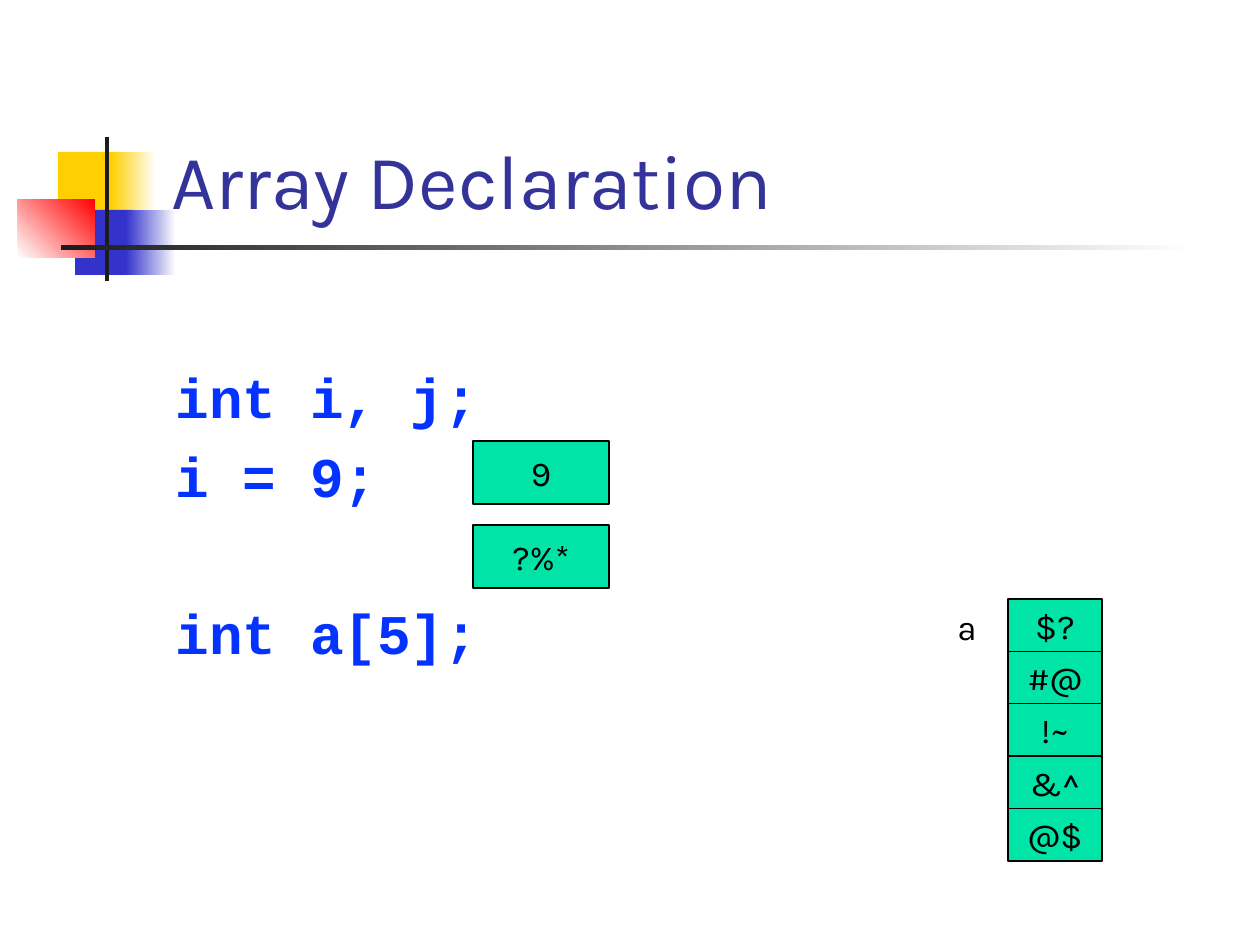
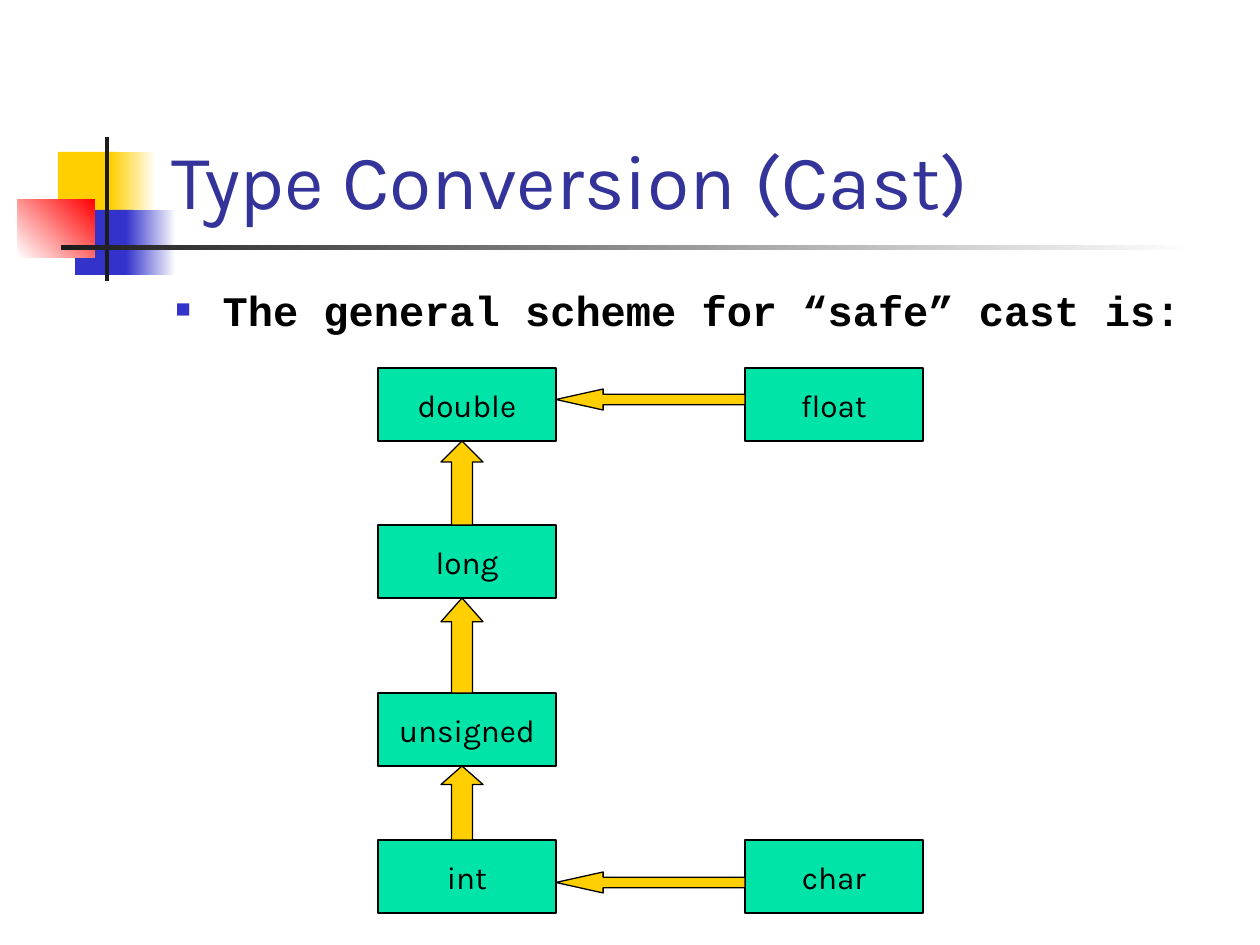
from lxml.etree import SubElement
from pptx import Presentation
from pptx.dml.color import RGBColor
from pptx.enum.shapes import MSO_SHAPE as SHAPE
from pptx.enum.text import MSO_ANCHOR as ANCHOR, MSO_AUTO_SIZE as AUTO, PP_ALIGN as ALIGN
from pptx.oxml.ns import qn
from pptx.util import Emu, Pt

EMU_PER_PX = 914400 / 126
COLORS = {
    "yellow": "FFCF01", "blue": "3333CC", "red": "FF0000", "dark": "1C1C1C",
    "white": "FFFFFF", "black": "000000", "title": "333399",
    "code": "0432FF", "cell": "00E4A8",
}
SANS, MONO = "Karla", "Courier New"
TITLE_BOX = (159, 29, 1074, 202)
BODY_BOX = (163, 278, 1071, 567)
HANGING = 47


def px(n):
    return Emu(round(n * EMU_PER_PX))


def rgb(name):
    return RGBColor.from_string(COLORS[name])


def place(shape, box):
    shape.left, shape.top, shape.width, shape.height = map(px, box)


def add_run(p, text, size, color="black", font=SANS, bold=False):
    r = p.add_run()
    r.text = text
    r.font.size, r.font.name, r.font.bold = Pt(size), font, bold
    r.font.color.rgb = rgb(color)


def add_filled(s, kind, box, fill, outlined=True):
    sp = s.shapes.add_shape(kind, *map(px, box))
    sp.shadow.inherit = False
    sp.fill.solid()
    sp.fill.fore_color.rgb = rgb(fill)
    if outlined:
        sp.line.color.rgb = rgb("black")
        sp.line.width = Pt(0.75)
    else:
        sp.line.fill.background()
    return sp


def add_fade(s, box, start, end, angle=0):
    sp = add_filled(s, SHAPE.RECTANGLE, box, start, outlined=False)
    sp.fill.gradient()
    sp.fill.gradient_angle = angle
    for stop, color, position in zip(sp.fill.gradient_stops, (start, end), (0, 1)):
        stop.color.rgb = rgb(color)
        stop.position = position
    return sp


def add_cell(s, box, text, size):
    sp = add_filled(s, SHAPE.RECTANGLE, box, "cell")
    tf = sp.text_frame
    tf.word_wrap = False
    tf.vertical_anchor = ANCHOR.MIDDLE
    p = tf.paragraphs[0]
    p.alignment = ALIGN.CENTER
    add_run(p, text, size)


def add_arrow(s, kind, box):
    """Draw a block arrow whose head takes a quarter of its length."""
    sp = add_filled(s, kind, box, "yellow")
    length, thickness = max(box[2:]), min(box[2:])
    sp.adjustments[0] = 0.5
    sp.adjustments[1] = length / 4 / thickness


def set_up_layout(prs, layout):
    """Put the coloured squares and rules on the layout and place its text boxes."""
    s = prs.slides[0]
    band = [
        add_filled(s, SHAPE.RECTANGLE, (58, 152, 60, 66), "yellow", False),
        add_fade(s, (111, 152, 45, 66), "yellow", "white"),
        add_filled(s, SHAPE.RECTANGLE, (75, 210, 58, 65), "blue", False),
        add_fade(s, (126, 210, 50, 65), "blue", "white"),
        add_fade(s, (18, 199, 77, 59), "white", "red", 45),
        add_filled(s, SHAPE.RECTANGLE, (105, 137, 4, 144), "dark", False),
        add_fade(s, (61, 245, 1134, 5), "dark", "white"),
    ]
    for sp in band:
        layout.shapes.element.append(sp.element)
    place(layout.placeholders[0], TITLE_BOX)
    place(layout.placeholders[1], BODY_BOX)


def fill_title(s, text):
    tf = s.shapes.title.text_frame
    tf.vertical_anchor = ANCHOR.BOTTOM
    tf.auto_size = AUTO.NONE
    p = tf.paragraphs[0]
    p.alignment = ALIGN.LEFT
    add_run(p, text, 44, "title")


def fill_body(s, lines, size, color, bullet=False, inset=6):
    """Write (text, space before) lines in bold code type, below a top inset."""
    tf = s.placeholders[1].text_frame
    tf.auto_size = AUTO.NONE
    tf.vertical_anchor = ANCHOR.TOP
    tf.margin_top = px(inset)
    for i, (text, before) in enumerate(lines):
        p = tf.add_paragraph() if i else tf.paragraphs[0]
        p.space_before = Pt(before)
        add_run(p, text, size, color, MONO, bold=True)
        pPr = p._p.get_or_add_pPr()
        pPr.set("marL", str(px(HANGING)))
        pPr.set("indent", str(-px(HANGING)))
        if bullet:
            clr = SubElement(pPr, qn("a:buClr"))
            SubElement(clr, qn("a:srgbClr"), val=COLORS["blue"])
            SubElement(pPr, qn("a:buSzPct"), val="60000")
            SubElement(pPr, qn("a:buChar"), char="■")
        else:
            SubElement(pPr, qn("a:buNone"))


def add_variables(s, left, top, values):
    for i, value in enumerate(values):
        add_cell(s, (left, top + 84 * i, 136, 63), value, 20)


def add_array(s, box, name, values):
    left, top, width, height = box
    row = height / len(values)
    for i, value in enumerate(values):
        add_cell(s, (left, top + row * i, width, row), value, 20)
    label = s.shapes.add_textbox(*map(px, (left - 63, top, 84, 54)))
    label.text_frame.word_wrap = True
    add_run(label.text_frame.paragraphs[0], name, 20)


def add_cast_scheme(s, left, top):
    """Stack the types upwards, with the side types pointing into the stack."""
    width, height, side = 178, 73, 367
    stack = [("double", 0), ("long", 157), ("unsigned", 325), ("int", 472)]
    for name, y in stack:
        add_cell(s, (left, top + y, width, height), name, 18)
    for (_, upper), (_, lower) in zip(stack, stack[1:]):
        start = upper + height
        add_arrow(s, SHAPE.UP_ARROW, (left + 63, top + start, 42, lower - start))
    for name, y, arrow_y in [("float", 0, 21), ("char", 472, 504)]:
        add_cell(s, (left + side, top + y, width, height), name, 18)
        add_arrow(s, SHAPE.LEFT_ARROW, (left + width, top + arrow_y, side - width, 21))


def main():
    prs = Presentation()
    prs.slide_width, prs.slide_height = px(1260), px(945)
    layout = prs.slide_layouts[1]

    s = prs.slides.add_slide(layout)
    set_up_layout(prs, layout)
    fill_title(s, "Array Declaration")
    code = [("int i, j;", 0), ("i = 9;", 6.4), ("int a[5];", 51.4)]
    fill_body(s, code, 32, "code", inset=85)
    add_variables(s, 473, 441, ["9", "?%*"])
    add_array(s, (1008, 599, 94, 262), "a", ["$?", "#@", "!~", "&^", "@$"])

    s = prs.slides.add_slide(layout)
    fill_title(s, "Type Conversion (Cast)")
    fill_body(s, [("The general scheme for “safe” cast is:", 4.8)], 24, "black", bullet=True)
    add_cast_scheme(s, 378, 368)

    prs.save("out.pptx")


if __name__ == "__main__":
    main()
